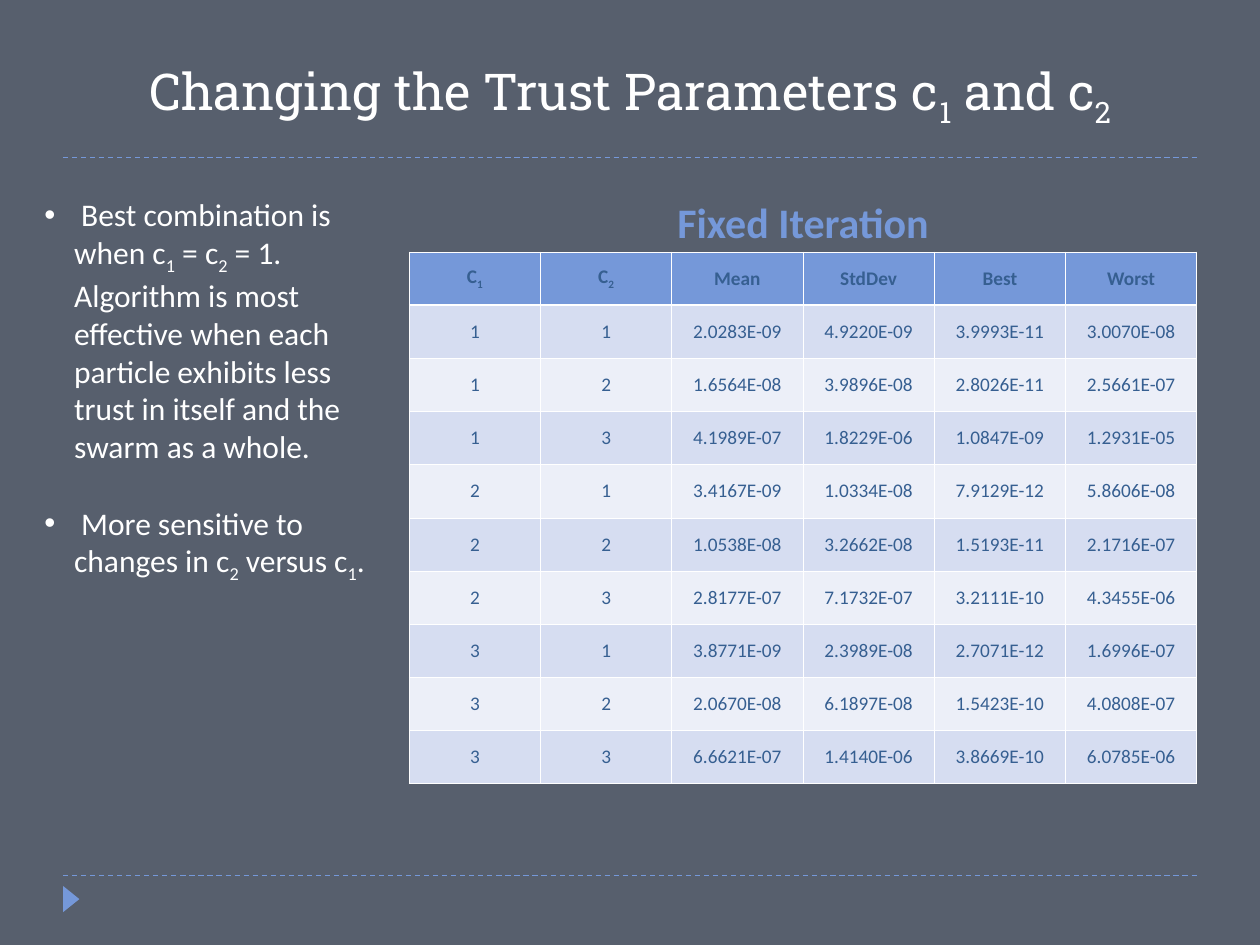
import pptx
import pptx.dml.color
import pptx.enum.dml
import pptx.enum.shapes
import pptx.enum.text
import pptx.oxml.ns
import pptx.util
from lxml import etree
from pptx.util import Cm, Pt

RGBColor = pptx.dml.color.RGBColor
SLATE = RGBColor(0x57, 0x5F, 0x6D)
BLUE = RGBColor(0x75, 0x98, 0xD9)
NAVY = RGBColor(0x36, 0x5F, 0x91)
PALE = RGBColor(0xD6, 0xDD, 0xF1)
PALEST = RGBColor(0xEC, 0xEF, 0xF8)
WHITE = RGBColor(0xFF, 0xFF, 0xFF)

BODY_FONT = "Calibri"
TITLE_FONT = "Roboto Slab"
ANCHOR = pptx.enum.text.MSO_ANCHOR
ALIGN = pptx.enum.text.PP_ALIGN

TITLE = "Changing the Trust Parameters c_1 and c_2"
FINDINGS = [
    " Best combination is when c_1 = c_2 = 1. Algorithm is most effective when "
    "each particle exhibits less trust in itself and the swarm as a whole.",
    " More sensitive to changes in c_2 versus c_1.",
]
RESULTS = [
    ["C_1", "C_2", "Mean", "StdDev", "Best", "Worst"],
    ["1", "1", "2.0283E-09", "4.9220E-09", "3.9993E-11", "3.0070E-08"],
    ["1", "2", "1.6564E-08", "3.9896E-08", "2.8026E-11", "2.5661E-07"],
    ["1", "3", "4.1989E-07", "1.8229E-06", "1.0847E-09", "1.2931E-05"],
    ["2", "1", "3.4167E-09", "1.0334E-08", "7.9129E-12", "5.8606E-08"],
    ["2", "2", "1.0538E-08", "3.2662E-08", "1.5193E-11", "2.1716E-07"],
    ["2", "3", "2.8177E-07", "7.1732E-07", "3.2111E-10", "4.3455E-06"],
    ["3", "1", "3.8771E-09", "2.3989E-08", "2.7071E-12", "1.6996E-07"],
    ["3", "2", "2.0670E-08", "6.1897E-08", "1.5423E-10", "4.0808E-07"],
    ["3", "3", "6.6621E-07", "1.4140E-06", "3.8669E-10", "6.0785E-06"],
]


def add_element(parent, tag, **attributes):
    return etree.SubElement(parent, pptx.oxml.ns.qn(tag), attributes)


def write(para, text, size, color, font=BODY_FONT, bold=False, align=ALIGN.CENTER):
    """Fill a paragraph; the character after each underscore is a subscript."""
    para.alignment = align
    para.space_before = Pt(0)
    para.font.name = font
    para.font.size = Pt(size)
    para.font.bold = bold
    para.font.color.rgb = color
    plain, *rest = text.split("_")
    para.add_run().text = plain
    for piece in rest:
        span = para.add_run()
        span.text = piece[0]
        span._r.get_or_add_rPr().set("baseline", "-25000")
        if piece[1:]:
            para.add_run().text = piece[1:]


def place(box, left, top, width, height, anchor):
    box.left, box.top, box.width, box.height = map(Cm, (left, top, width, height))
    frame = box.text_frame
    frame.word_wrap = True
    frame.auto_size = pptx.enum.text.MSO_AUTO_SIZE.NONE
    frame.vertical_anchor = anchor
    return frame


def add_bullet(para):
    properties = para._p.get_or_add_pPr()
    properties.set("marL", str(Cm(0.6)))
    properties.set("indent", str(Cm(-0.6)))
    bullet_color = add_element(properties, "a:buClr")
    add_element(bullet_color, "a:srgbClr", val=str(WHITE))
    add_element(properties, "a:buFont", typeface="Arial")
    add_element(properties, "a:buChar", char="•")


def add_findings(frame):
    for index, finding in enumerate(FINDINGS):
        para = frame.add_paragraph() if index else frame.paragraphs[0]
        add_bullet(para)
        write(para, finding, 18, WHITE, align=ALIGN.LEFT)
        if index:
            para.space_before = Pt(22)


def add_dashed_rule(page, top):
    rule = page.shapes.add_connector(
        pptx.enum.shapes.MSO_CONNECTOR.STRAIGHT, Cm(1.27), Cm(top), Cm(24.13), Cm(top))
    rule.line.color.rgb = BLUE
    rule.line.width = Pt(0.75)
    rule.line.dash_style = pptx.enum.dml.MSO_LINE.DASH
    add_element(rule._element.spPr, "a:effectLst")


def add_marker(page):
    marker = page.shapes.add_shape(
        pptx.enum.shapes.MSO_SHAPE.ISOSCELES_TRIANGLE,
        Cm(1.17), Cm(17.96), Cm(0.53), Cm(0.33))
    marker.rotation = 90
    marker.shadow.inherit = False
    marker.fill.solid()
    marker.fill.fore_color.rgb = BLUE
    marker.line.fill.background()


def add_borders(cell, top, bottom):
    properties = cell._tc.get_or_add_tcPr()
    for side, width in zip("LRTB", (0.45, 0.45, top, bottom)):
        border = add_element(properties, f"a:ln{side}", w=str(Pt(width)))
        fill = add_element(border, "a:solidFill")
        add_element(fill, "a:srgbClr", val=str(WHITE))


def add_results(page):
    table = page.shapes.add_table(
        len(RESULTS), len(RESULTS[0]), Cm(8.25), Cm(5.08), Cm(15.88), Cm(10.72)).table
    for row, values in enumerate(RESULTS):
        header = row == 0
        color = BLUE if header else PALE if row % 2 else PALEST
        for column, value in enumerate(values):
            cell = table.cell(row, column)
            add_borders(cell, 1.47 if row == 1 else 0.45, 1.47 if header else 0.45)
            cell.fill.solid()
            cell.fill.fore_color.rgb = color
            cell.margin_left = cell.margin_right = Cm(0.03)
            cell.vertical_anchor = ANCHOR.MIDDLE
            write(cell.text_frame.paragraphs[0], value, 11, NAVY, bold=header)


def main():
    deck = pptx.Presentation()
    deck.slide_width, deck.slide_height = Cm(25.4), Cm(19.05)
    page = deck.slides.add_slide(deck.slide_layouts.get_by_name("Content with Caption"))
    page.background.fill.solid()
    page.background.fill.fore_color.rgb = SLATE

    title, findings, heading = page.placeholders
    add_dashed_rule(page, 17.65)
    add_dashed_rule(page, 3.18)
    add_marker(page)

    frame = place(title, 1.27, 0.64, 22.86, 2.54, ANCHOR.MIDDLE)
    write(frame.paragraphs[0], TITLE, 29, WHITE, font=TITLE_FONT)
    frame = place(heading, 8.25, 3.81, 15.88, 1.3, ANCHOR.BOTTOM)
    write(frame.paragraphs[0], "Fixed Iteration", 24, BLUE, bold=True)
    add_results(page)
    add_findings(place(findings, 0.64, 3.81, 6.98, 8.97, ANCHOR.TOP))

    deck.save("out.pptx")


if __name__ == "__main__":
    main()
